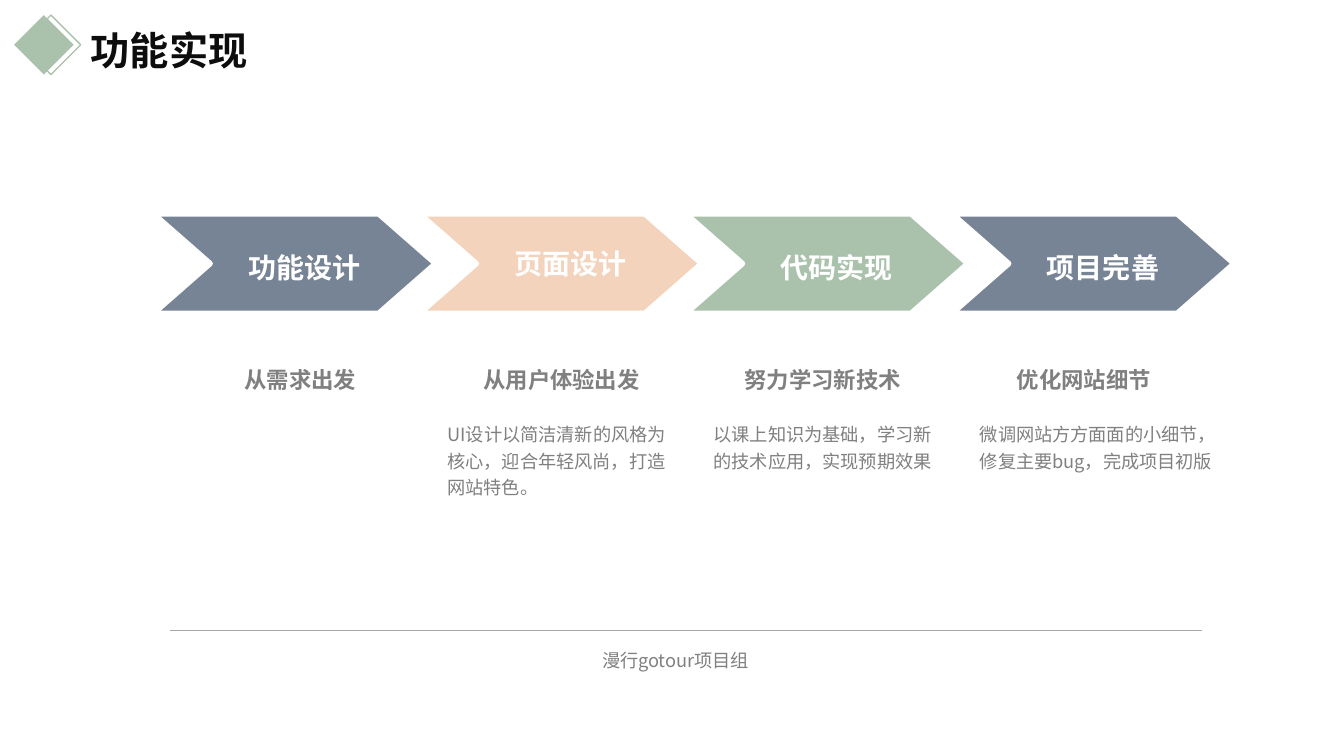
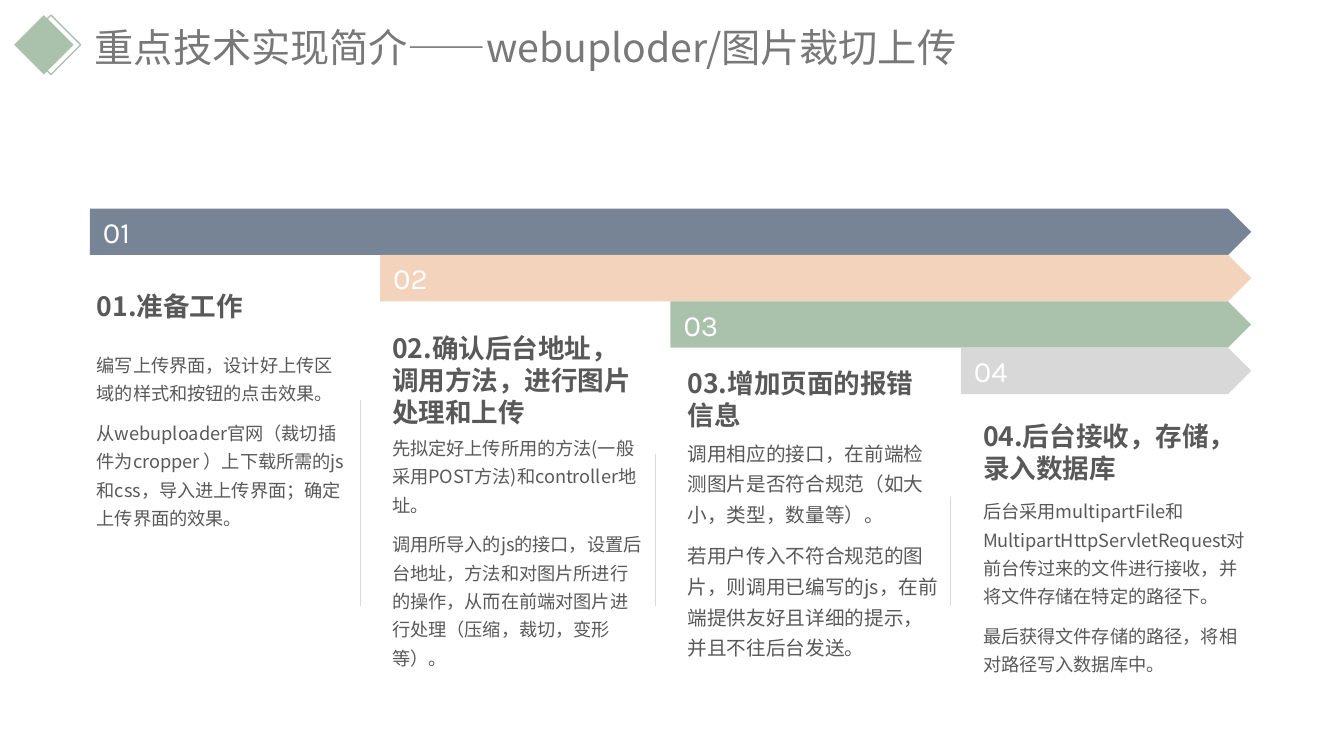
from lxml import etree
from pptx import Presentation, util as u
from pptx.dml.color import RGBColor
from pptx.enum import shapes, text
from pptx.oxml.ns import qn

W, H = 13.33, 7.5
SANS = "Noto Sans CJK SC"
C = {
    "slate": "778495", "peach": "F3D3BC", "sage": "AAC2AC", "silver": "D8D8D8",
    "white": "FFFFFF", "ink": "0D0D0D", "title": "787878", "grey": "808080",
    "body": "595959", "rule": "A6A6A6", "divider": "D9D9D9",
}
MIDDLE, TOP = text.MSO_ANCHOR.MIDDLE, text.MSO_ANCHOR.TOP
LEFT, CENTER = text.PP_ALIGN.LEFT, text.PP_ALIGN.CENTER


def write(sp, paragraphs, size, color, font=SANS, bold=False, align=LEFT,
          anchor=TOP, spacing=1.0, before=0, wrap=True, inset=(0.1, 0.05, 0.1, 0.05)):
    tf = sp.text_frame
    tf.auto_size, tf.word_wrap, tf.vertical_anchor = text.MSO_AUTO_SIZE.NONE, wrap, anchor
    tf.margin_left, tf.margin_top, tf.margin_right, tf.margin_bottom = map(u.Inches, inset)
    for i, line in enumerate(paragraphs):
        p = tf.add_paragraph() if i else tf.paragraphs[0]
        p.alignment, p.line_spacing, p.space_before = align, spacing, u.Pt(before)
        r = p.add_run()
        r.text = line
        r.font.size, r.font.bold, r.font.name = u.Pt(size), bold, font
        r.font.color.rgb = RGBColor.from_string(C[color])
        etree.SubElement(r.font._element, qn("a:ea"), typeface=font)


def rule(s, x1, y1, x2, y2, color):
    line = s.shapes.add_connector(shapes.MSO_CONNECTOR.STRAIGHT,
                                  *map(u.Inches, (x1, y1, x2, y2)))
    line.line.width = u.Pt(0.5)
    line.line.color.rgb = RGBColor.from_string(C[color])
    etree.SubElement(line._element.spPr, qn("a:effectLst"))


prs = Presentation()
prs.slide_width, prs.slide_height = u.Inches(W), u.Inches(H)
layout = prs.slide_layouts[5]

# Titles
titles = [
    ("功能实现", 0.8, 0.21, 1.77, "ink", True),
    ("重点技术实现简介——webuploder/图片裁切上传", 0.84, 0.18, 8.97, "title", False),
]
for title, x, y, w, color, bold in titles:
    s = prs.slides.add_slide(layout)
    sp = s.shapes.title
    sp.left, sp.top, sp.width, sp.height = map(u.Inches, (x, y, w, 0.57))
    write(sp, [title], 28, color, bold=bold, wrap=False)
process, upload = prs.slides

# Diamond pair, shared through the layout
for i, x in enumerate((0.14, 0.21)):
    sp = process.shapes.add_shape(shapes.MSO_SHAPE.DIAMOND,
                                  *map(u.Inches, (x, 0.15, 0.59, 0.59)))
    sp.shadow.inherit = False
    part = sp.line if i else sp
    part.fill.solid()
    part.fill.fore_color.rgb = RGBColor.from_string(C["sage"])
    if i:
        sp.fill.background()
        sp.line.width = u.Pt(1)
    else:
        sp.line.fill.background()
    layout.shapes.element.insert(2 + i, sp._element)

# Slide 1: four chevrons, each with a heading and a note
steps = [
    ("功能设计", "slate", 1.2, "从需求出发", None, 0),
    ("页面设计", "peach", 1.0, "从用户体验出发",
     "UI设计以简洁清新的风格为核心，迎合年轻风尚，打造网站特色。", 2.42),
    ("代码实现", "sage", 1.2, "努力学习新技术",
     "以课上知识为基础，学习新的技术应用，实现预期效果", 2.44),
    ("项目完善", "slate", 1.2, "优化网站细节",
     "微调网站方方面面的小细节，修复主要bug，完成项目初版", 2.62),
]
for i, (name, color, spacing, heading, note, note_w) in enumerate(steps):
    x = 1.52 + 2.64 * i
    sp = process.shapes.add_shape(shapes.MSO_SHAPE.CHEVRON,
                                  *map(u.Inches, (x, 2.12, 2.8, 0.99)))
    sp.shadow.inherit = False
    sp.adjustments[0] = 0.57
    sp.fill.solid()
    sp.fill.fore_color.rgb = RGBColor.from_string(C[color])
    sp.line.color.rgb = RGBColor.from_string(C["white"])
    sp.line.width = u.Pt(4)
    write(sp, [name], 20, "white", "Arial", True, CENTER, MIDDLE, spacing,
          inset=(0.2, 0, 0, 0))
    sp = process.shapes.add_textbox(*map(u.Inches, (2.08 + 2.59 * i, 3.58, 1.8, 0.37)))
    write(sp, [heading], 16, "grey", bold=True, align=CENTER, wrap=False)
    if note:
        sp = process.shapes.add_textbox(*map(u.Inches, (x + 0.18, 4.11, note_w, 0.89)))
        write(sp, [note], 13, "grey", spacing=1.2)

# Slide 1: footer
rule(process, 1.69, 6.25, 11.92, 6.25, "rule")
sp = process.shapes.add_textbox(*map(u.Inches, (1.57, 6.35, 10.26, 0.36)))
write(sp, ["漫行gotour项目组"], 13, "grey", align=CENTER, spacing=1.2)

# Slide 2: stepped bars over four text columns
# bar colour, heading, heading top, body top, body width, body size, divider top, body
stages = [
    ("slate", "准备工作", 2.81, 3.38, 2.76, 13, 3.97,
     ["编写上传界面，设计好上传区域的样式和按钮的点击效果。",
      "从webuploader官网（裁切插件为cropper ）上下载所需的js和css，导入进上传界面；确定上传界面的效果。"]),
    ("peach", "确认后台地址，调用方法，进行图片处理和上传", 3.22, 4.2, 2.76, 13, 4.5,
     ["先拟定好上传所用的方法(一般采用POST方法)和controller地址。",
      "调用所导入的js的接口，设置后台地址，方法和对图片所进行的操作，从而在前端对图片进行处理（压缩，裁切，变形等）。"]),
    ("sage", "增加页面的报错信息", 3.57, 4.24, 2.76, 14, 4.93,
     ["调用相应的接口，在前端检测图片是否符合规范（如大小，类型，数量等）。",
      "若用户传入不符合规范的图片，则调用已编写的js，在前端提供友好且详细的提示，并且不往后台发送。"]),
    ("silver", "后台接收，存储，录入数据库", 4.1, 4.83, 2.86, 13, None,
     ["后台采用multipartFile和MultipartHttpServletRequest对前台传过来的文件进行接收，并将文件存储在特定的路径下。",
      "最后获得文件存储的路径，将相对路径写入数据库中。"]),
]
bar_step, bar_h = 2.88, 0.46
inset = (0.13, 0.07, 0.13, 0.07)
for i, (color, heading, head_y, body_y, body_w, size, div_y, body) in enumerate(stages):
    number = f"{i + 1:02}"
    sp = upload.shapes.add_shape(
        shapes.MSO_SHAPE.PENTAGON,
        *map(u.Inches, (0.89 + bar_step * i, 2.07 + bar_h * i, bar_step * (4 - i), bar_h)))
    sp.shadow.inherit = False
    sp.fill.solid()
    sp.fill.fore_color.rgb = RGBColor.from_string(C[color])
    sp.line.fill.background()
    write(sp, [number], 21, "white", "Karla", anchor=MIDDLE, inset=inset)

    x = 0.83 + 2.93 * i
    sp = upload.shapes.add_textbox(*map(u.Inches, (x, head_y, 2.76, 0.77)))
    write(sp, [f"{number}.{heading}"], 19, "body", bold=True, inset=inset)
    sp = upload.shapes.add_textbox(*map(u.Inches, (x, body_y, body_w, 1.98)))
    write(sp, body, size, "body", spacing=1.3, before=8, inset=inset)
    if div_y:
        rule(upload, x + 2.74, div_y, x + 2.74, 6.01, "divider")

prs.save("out.pptx")
